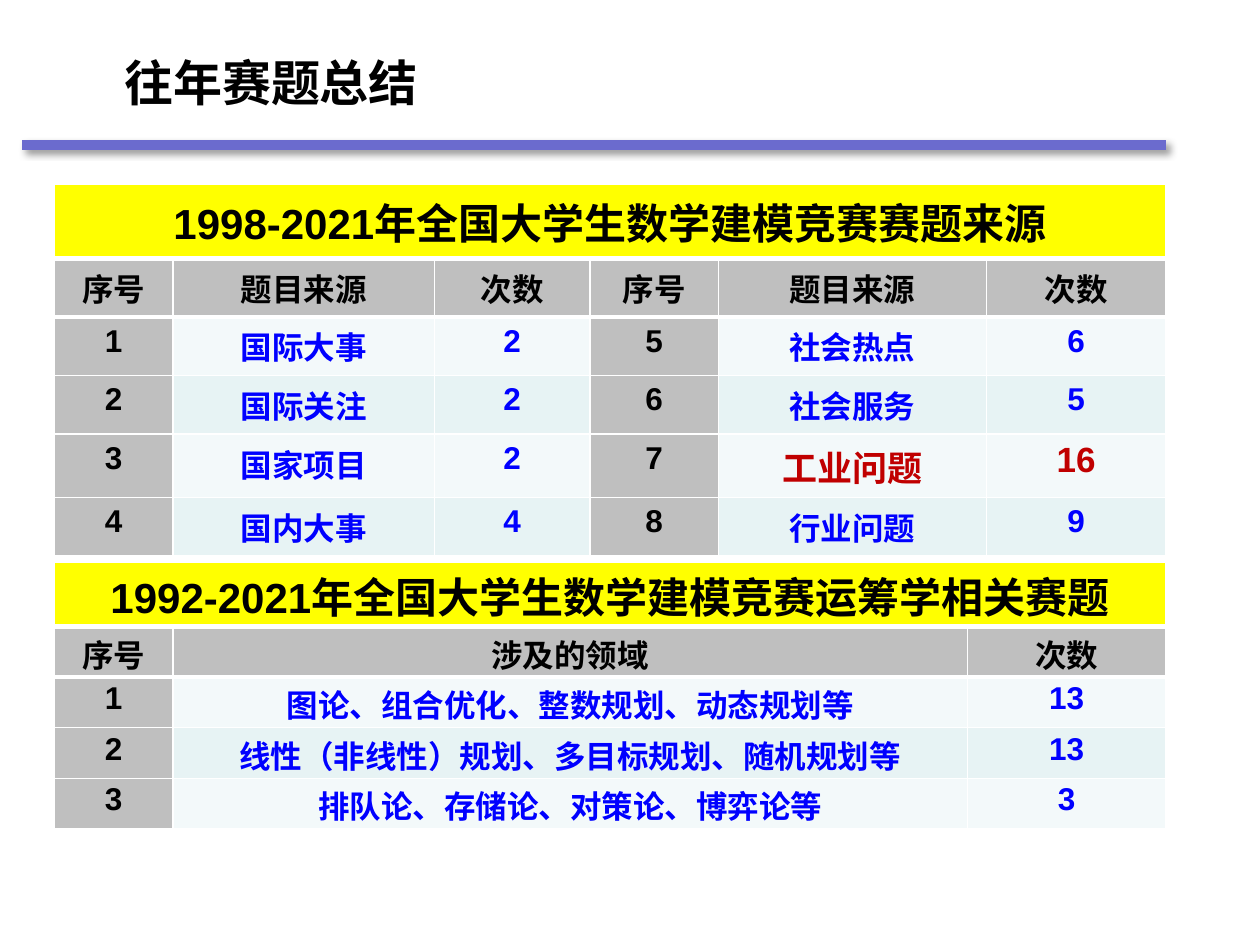
from lxml import etree
from pptx import Presentation
from pptx.dml.color import RGBColor
from pptx.enum.shapes import MSO_CONNECTOR
from pptx.enum.text import MSO_ANCHOR, MSO_AUTO_SIZE, PP_ALIGN
from pptx.oxml.ns import qn
from pptx.util import Cm, Pt

BLACK = RGBColor(0x00, 0x00, 0x00)
WHITE = RGBColor(0xFF, 0xFF, 0xFF)
BLUE = RGBColor(0x00, 0x00, 0xFF)
RED = RGBColor(0xC0, 0x00, 0x00)
YELLOW = RGBColor(0xFF, 0xFF, 0x00)
GRAY = RGBColor(0xBF, 0xBF, 0xBF)
VIOLET = RGBColor(0x6B, 0x6B, 0xCE)
BANDS = (RGBColor(0xF3, 0xF9, 0xFA), RGBColor(0xE7, 0xF3, 0xF4))

LATIN_FONT = "Arial"
CHINESE_FONT = "Noto Sans CJK SC"
LEFT, CENTER = PP_ALIGN.LEFT, PP_ALIGN.CENTER
TOP = MSO_ANCHOR.TOP
GROW = MSO_AUTO_SIZE.SHAPE_TO_FIT_TEXT
STRAIGHT = MSO_CONNECTOR.STRAIGHT
TITLE_ONLY = 5

SOURCES = [
    ["序号", "题目来源", "次数", "序号", "题目来源", "次数"],
    ["1", "国际大事", "2", "5", "社会热点", "6"],
    ["2", "国际关注", "2", "6", "社会服务", "5"],
    ["3", "国家项目", "2", "7", "工业问题", "16"],
    ["4", "国内大事", "4", "8", "行业问题", "9"],
]
FIELDS = [
    ["序号", "涉及的领域", "次数"],
    ["1", "图论、组合优化、整数规划、动态规划等", "13"],
    ["2", "线性（非线性）规划、多目标规划、随机规划等", "13"],
    ["3", "排队论、存储论、对策论、博弈论等", "3"],
]


def write(frame, text, size=18, color=BLACK, font=LATIN_FONT, align=CENTER):
    para = frame.paragraphs[0]
    para.alignment = align
    span = para.add_run()
    span.text = text
    span.font.name = font
    span.font.size = Pt(size)
    span.font.bold = True
    span.font.color.rgb = color
    latin = span.font._element.find(qn("a:latin"))
    east_asian = etree.Element(qn("a:ea"), typeface=CHINESE_FONT)
    latin.addnext(east_asian)


class SlideBuilder:
    def __init__(self, slide):
        self.slide = slide

    def title(self, text, left, top, width, height):
        box = self.slide.shapes.title
        box.left, box.top = Cm(left), Cm(top)
        box.width, box.height = Cm(width), Cm(height)
        frame = box.text_frame
        frame.word_wrap = False
        frame.auto_size = GROW
        frame.vertical_anchor = TOP
        write(frame, text, size=28, font=CHINESE_FONT, align=LEFT)

    def rule(self, left, right, y):
        line = self.slide.shapes.add_connector(STRAIGHT, Cm(left), Cm(y), Cm(right), Cm(y))
        line.line.color.rgb = VIOLET
        line.line.width = Pt(6)
        effects = etree.SubElement(line._element.spPr, qn("a:effectLst"))
        shadow = etree.SubElement(effects, qn("a:outerShdw"), blurRad=str(Pt(4)),
                                  dist=str(Pt(3)), dir=str(45 * 60000),
                                  algn="tl", rotWithShape="0")
        color = etree.SubElement(shadow, qn("a:srgbClr"), val=str(BLACK))
        etree.SubElement(color, qn("a:alpha"), val="40000")

    def cell(self, cell, text, fill, margins, **style):
        cell.fill.solid()
        cell.fill.fore_color.rgb = fill
        cell.margin_top, cell.margin_bottom = (Cm(margin) for margin in margins)
        write(cell.text_frame, text, **style)

    def border(self, cell, side):
        line = etree.Element(qn(side), w=str(Pt(3)))
        fill = etree.SubElement(line, qn("a:solidFill"))
        etree.SubElement(fill, qn("a:srgbClr"), val=str(WHITE))
        cell._tc.get_or_add_tcPr().insert(0, line)

    def table(self, heading, rows, top, widths, heights, highlight=(),
              heading_margins=(0.13, 0.13), body_margins=(0.13, 0.13)):
        """Heading across all columns, gray labels, banded body cells."""
        table = self.slide.shapes.add_table(
            len(heights), len(widths), Cm(1.09), Cm(top),
            Cm(sum(widths)), Cm(sum(heights))).table
        for column, width in zip(table.columns, widths):
            column.width = Cm(width)
        for row, height in zip(table.rows, heights):
            row.height = Cm(height)

        table.cell(0, 0).merge(table.cell(0, len(widths) - 1))
        self.cell(table.cell(0, 0), heading, YELLOW, heading_margins, size=24)
        for r, texts in enumerate(rows):
            for c, text in enumerate(texts):
                fill, style = BANDS[(r - 1) % 2], {"color": BLUE}
                if r == 0 or c % 3 == 0:
                    fill, style = GRAY, {}
                elif (r, c) in highlight:
                    style = {"color": RED, "size": 20}
                self.cell(table.cell(r + 1, c), text, fill, body_margins, **style)

        # Thick white line below the heading
        for c in range(len(widths)):
            self.border(table.cell(0, c), "a:lnB")
            self.border(table.cell(1, c), "a:lnT")


def main():
    deck = Presentation()
    deck.slide_width, deck.slide_height = Cm(25.4), Cm(19.05)
    page = SlideBuilder(deck.slides.add_slide(deck.slide_layouts[TITLE_ONLY]))

    # Title and rule
    page.title("往年赛题总结", 2.25, 0.93, 6.5, 1.45)
    page.rule(0.45, 23.5, 2.92)

    # Where the problems come from
    page.table("1998-2021年全国大学生数学建模竞赛赛题来源", SOURCES, 3.72,
               [2.4, 5.27, 3.13, 2.59, 5.41, 3.61],
               [1.49, 1.18, 1.18, 1.18, 1.28, 1.18],
               highlight={(3, 4), (3, 5)})

    # Operations research fields, in tighter rows
    page.table("1992-2021年全国大学生数学建模竞赛运筹学相关赛题", FIELDS, 11.33,
               [2.4, 16.01, 4], [1.3] + [1.02] * 4,
               heading_margins=(0.05, 0), body_margins=(0.08, 0))

    deck.save("out.pptx")


if __name__ == "__main__":
    main()
